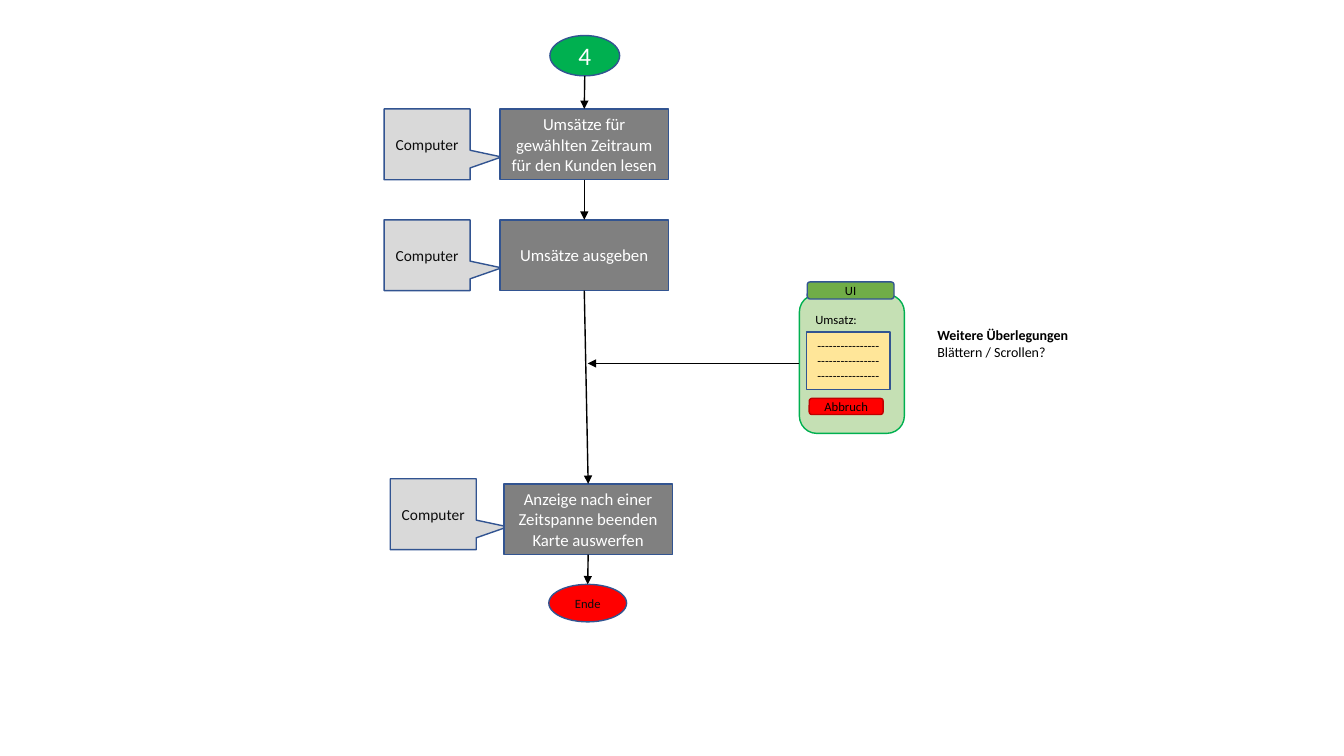
from lxml import etree
from pptx import Presentation
from pptx.dml.color import RGBColor
from pptx.enum import shapes, text
from pptx.oxml import ns
from pptx.util import Pt

BLACK = RGBColor(0x00, 0x00, 0x00)
SOFT_BLACK = RGBColor(0x0D, 0x0D, 0x0D)
WHITE = RGBColor(0xFF, 0xFF, 0xFF)
NAVY = RGBColor(0x32, 0x54, 0x91)
GRAY = RGBColor(0x80, 0x80, 0x80)
LIGHT_GRAY = RGBColor(0xD9, 0xD9, 0xD9)
GREEN = RGBColor(0x00, 0xB0, 0x50)
LEAF = RGBColor(0x70, 0xAD, 0x47)
PALE_GREEN = RGBColor(0xC5, 0xE0, 0xB4)
YELLOW = RGBColor(0xFF, 0xE6, 0x99)
RED = RGBColor(0xFF, 0x00, 0x00)
DARK_RED = RGBColor(0xC0, 0x00, 0x00)

KIND = shapes.MSO_SHAPE

# Process steps: lines, box left and top, callout left and top
STEPS = [
    (["Umsätze für gewählten Zeitraum für den Kunden lesen"], (357.2, 77.8), (274.4, 77.8)),
    (["Umsätze ausgeben"], (357.2, 157), (274.4, 157)),
    (["Anzeige nach einer Zeitspanne beenden", "Karte auswerfen"], (360, 345.6), (278.8, 342)),
]
STEP_SIZE = (120.3, 50.6)
ACTOR = "Computer"
ACTOR_SIZE = (61.4, 50.6)
ACTOR_POINTER = (0.867, 0.178)

# Terminals: label, box, fill, font size, font colour
START = ("4", (392.8, 25.4, 49.8, 28.8), GREEN, 18, WHITE)
END = ("Ende", (392, 417.4, 55.6, 26.8), RED, 9, SOFT_BLACK)

# Screen parts: label, kind, box, fill, line
SCREEN = (571, 210.4, 75, 99.2)
SCREEN_PARTS = [
    ("", KIND.ROUNDED_RECTANGLE, SCREEN, PALE_GREEN, GREEN),
    ("Abbruch", KIND.ROUNDED_RECTANGLE, (578, 284.6, 52.8, 11.5), RED, DARK_RED),
    ("UI", KIND.ROUNDED_RECTANGLE, (576.6, 201.4, 62, 12.2), LEAF, NAVY),
    ("-" * 48, KIND.RECTANGLE, (576, 237.2, 59.8, 41), YELLOW, NAVY),
]
SCREEN_ARROW_Y = 259.6

# Plain texts: box, font size, lines with bold flag
NOTES = [
    ((575.3, 218.9, 60.5, 18), 9, [("Umsatz:", False)]),
    ((662.4, 229.7, 226, 31.7), 10,
     [("Weitere Überlegungen", True), ("Blättern / Scrollen?", False)]),
]


def write(shape, lines, size, color, alignment):
    """Fill a shape with (words, bold) lines."""
    frame = shape.text_frame
    frame.word_wrap = True
    for index, (words, bold) in enumerate(lines):
        paragraph = frame.paragraphs[0] if index == 0 else frame.add_paragraph()
        paragraph.alignment = alignment
        run = paragraph.add_run()
        run.text = words
        run.font.color.rgb = color
        for name, value in {"name": "Calibri", "size": Pt(size), "bold": bold}.items():
            setattr(run.font, name, value)


def add_box(slide, kind, box, fill, line=NAVY, lines=(), size=9, color=BLACK):
    shape = slide.shapes.add_shape(kind, *map(Pt, box))
    shape.shadow.inherit = False
    shape.fill.solid()
    shape.fill.fore_color.rgb = fill
    shape.line.color.rgb = line
    shape.line.width = Pt(1)
    shape.text_frame.vertical_anchor = text.MSO_ANCHOR.MIDDLE
    write(shape, [(words, False) for words in lines], size, color, text.PP_ALIGN.CENTER)
    return shape


def add_arrow(slide, start, end):
    arrow = slide.shapes.add_connector(
        shapes.MSO_CONNECTOR.STRAIGHT, *map(Pt, (*start, *end)))
    arrow.line.color.rgb = BLACK
    arrow.line.width = Pt(1)
    etree.SubElement(arrow.line._get_or_add_ln(), ns.qn("a:tailEnd"), type="triangle")
    etree.SubElement(arrow._element.spPr, ns.qn("a:effectLst"))


def top_center(box):
    return box[0] + box[2] / 2, box[1]


def bottom_center(box):
    return box[0] + box[2] / 2, box[1] + box[3]


def add_flow(slide):
    boxes = [START[1]]
    for lines, place, actor_place in STEPS:
        callout = add_box(slide, KIND.RECTANGULAR_CALLOUT, actor_place + ACTOR_SIZE,
                          LIGHT_GRAY, lines=[ACTOR], size=11, color=SOFT_BLACK)
        for index, value in enumerate(ACTOR_POINTER):
            callout.adjustments[index] = value
        boxes.append(place + STEP_SIZE)
        add_box(slide, KIND.FLOWCHART_PROCESS, boxes[-1], GRAY,
                lines=lines, size=12, color=WHITE)
    boxes.append(END[1])
    for label, box, fill, size, color in (START, END):
        add_box(slide, KIND.OVAL, box, fill, lines=[label], size=size, color=color)
    for upper, lower in zip(boxes, boxes[1:]):
        add_arrow(slide, bottom_center(upper), top_center(lower))


def add_screen(slide):
    for label, kind, box, fill, line in SCREEN_PARTS:
        add_box(slide, kind, box, fill, line, [label] if label else [])
    flow_x = top_center(END[1])[0]
    add_arrow(slide, (SCREEN[0], SCREEN_ARROW_Y), (flow_x, SCREEN_ARROW_Y))


def main():
    presentation = Presentation()
    presentation.slide_width, presentation.slide_height = Pt(960), Pt(540)
    slide = presentation.slides.add_slide(presentation.slide_layouts[6])
    add_flow(slide)
    add_screen(slide)
    for box, size, lines in NOTES:
        note = slide.shapes.add_textbox(*map(Pt, box))
        write(note, lines, size, BLACK, text.PP_ALIGN.LEFT)
    presentation.save("out.pptx")


if __name__ == "__main__":
    main()
